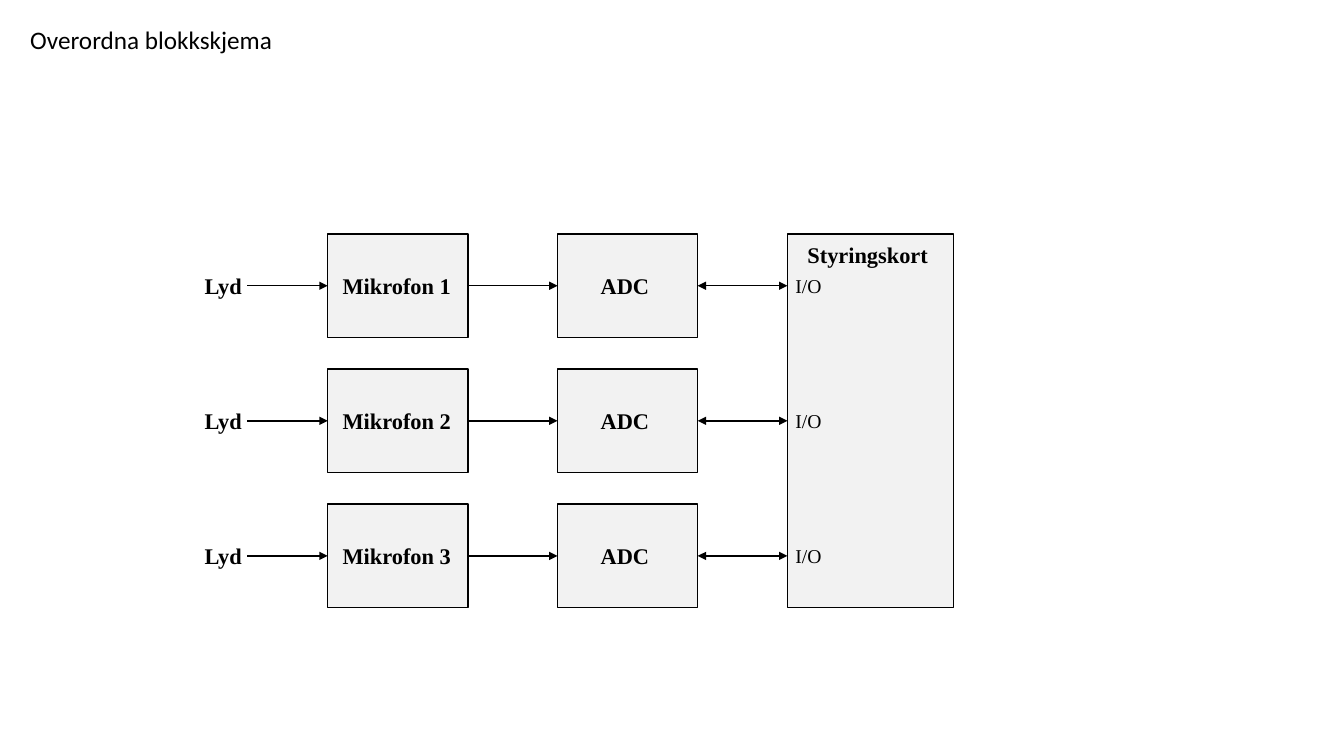
from lxml import etree
from pptx import Presentation
from pptx.dml.color import RGBColor
from pptx.enum.shapes import MSO_CONNECTOR, MSO_SHAPE
from pptx.enum.text import MSO_ANCHOR, MSO_AUTO_SIZE, PP_ALIGN
from pptx.oxml.ns import qn
from pptx.util import Inches, Pt

LEFT, RIGHT = 1, 3  # connection sites of a rectangle


def color(hex_value):
    return RGBColor.from_string(hex_value)


class Diagram:
    INK, PANEL = "000000", "F2F2F2"
    TITLE = {"name": "Calibri", "size": Pt(18), "bold": False}
    LABEL = {"name": "Times New Roman", "size": Pt(16), "bold": True}
    PORT = {"name": "Times New Roman", "size": Pt(14), "bold": False}

    def __init__(self, slide):
        self.s = slide

    def set_text(self, sp, text, style, wrap=True):
        tf = sp.text_frame
        frame = {"word_wrap": wrap, "auto_size": MSO_AUTO_SIZE.SHAPE_TO_FIT_TEXT,
                 "vertical_anchor": MSO_ANCHOR.TOP}
        for key, value in frame.items():
            setattr(tf, key, value)
        p = tf.paragraphs[0]
        p.alignment = PP_ALIGN.LEFT
        r = p.add_run()
        r.text = text
        for key, value in style.items():
            setattr(r.font, key, value)
        r.font.color.rgb = color(self.INK)

    def title(self, text, x, y, w, h):
        sp = self.s.shapes.title
        place = {"left": x, "top": y, "width": w, "height": h}
        for key, value in place.items():
            setattr(sp, key, Inches(value))
        self.set_text(sp, text, self.TITLE, wrap=False)

    def label(self, text, x, y, w, h=0.37, style=LABEL):
        sp = self.s.shapes.add_textbox(*map(Inches, (x, y, w, h)))
        self.set_text(sp, text, style)

    def block(self, x, y, w, h):
        sp = self.s.shapes.add_shape(MSO_SHAPE.RECTANGLE, *map(Inches, (x, y, w, h)))
        sp.shadow.inherit = False
        sp.fill.solid()
        sp.fill.fore_color.rgb = color(self.PANEL)
        self.stroke(sp.line)
        return sp

    def stroke(self, line):
        line.color.rgb = color(self.INK)
        line.width = Pt(1)

    def arrow(self, x1, x2, y, start=None, end=None, both=False):
        c = self.s.shapes.add_connector(
            MSO_CONNECTOR.STRAIGHT, *map(Inches, (x1, y, x2, y)))
        self.stroke(c.line)
        ln = c._element.spPr.find(qn("a:ln"))
        for tag in ("a:headEnd", "a:tailEnd") if both else ("a:tailEnd",):
            etree.SubElement(ln, qn(tag), type="triangle")
        etree.SubElement(c._element.spPr, qn("a:effectLst"))
        if start is not None:
            c.begin_connect(start, RIGHT)
        if end is not None:
            c.end_connect(end, LEFT)


def main():
    prs = Presentation()
    prs.slide_width, prs.slide_height = Inches(13.33), Inches(7.5)
    d = Diagram(prs.slides.add_slide(prs.slide_layouts[5]))
    d.title("Overordna blokkskjema", 0.2, 0.19, 2.62, 0.4)

    # Grid of blocks
    top, pitch, rows = 2.32, 1.34, 3
    block_w, block_h = 1.39, 1.03
    sound_x, mic_x, adc_x, board_x = 1.93, 3.25, 5.53, 7.81

    # Computer board spanning all rows
    board = d.block(board_x, top, 1.65, pitch * (rows - 1) + block_h)
    d.label("Styringskort", board_x + 0.1, top + 0.02, 1.65)

    # One signal chain per row: sound, microphone, converter, port
    for row in range(rows):
        y = top + row * pitch
        mid = y + block_h / 2
        mic = d.block(mic_x, y, block_w, block_h)
        adc = d.block(adc_x, y, block_w, block_h)
        text_y = y + 0.33
        d.label("Lyd", sound_x, text_y, 1.38)
        d.label(f"Mikrofon {row + 1}", mic_x + 0.05, text_y, 1.38)
        d.label("ADC", adc_x + 0.33, text_y, 0.82)
        d.label("I/O", board_x - 0.02, y + 0.35, 0.82, 0.34, d.PORT)

        d.arrow(2.45, mic_x, mid, end=mic)
        d.arrow(mic_x + block_w, adc_x, mid, mic, adc)
        # The middle row meets the middle of the board's side
        d.arrow(adc_x + block_w, board_x, mid, adc,
                board if row == rows // 2 else None, both=True)

    prs.save("out.pptx")


if __name__ == "__main__":
    main()
